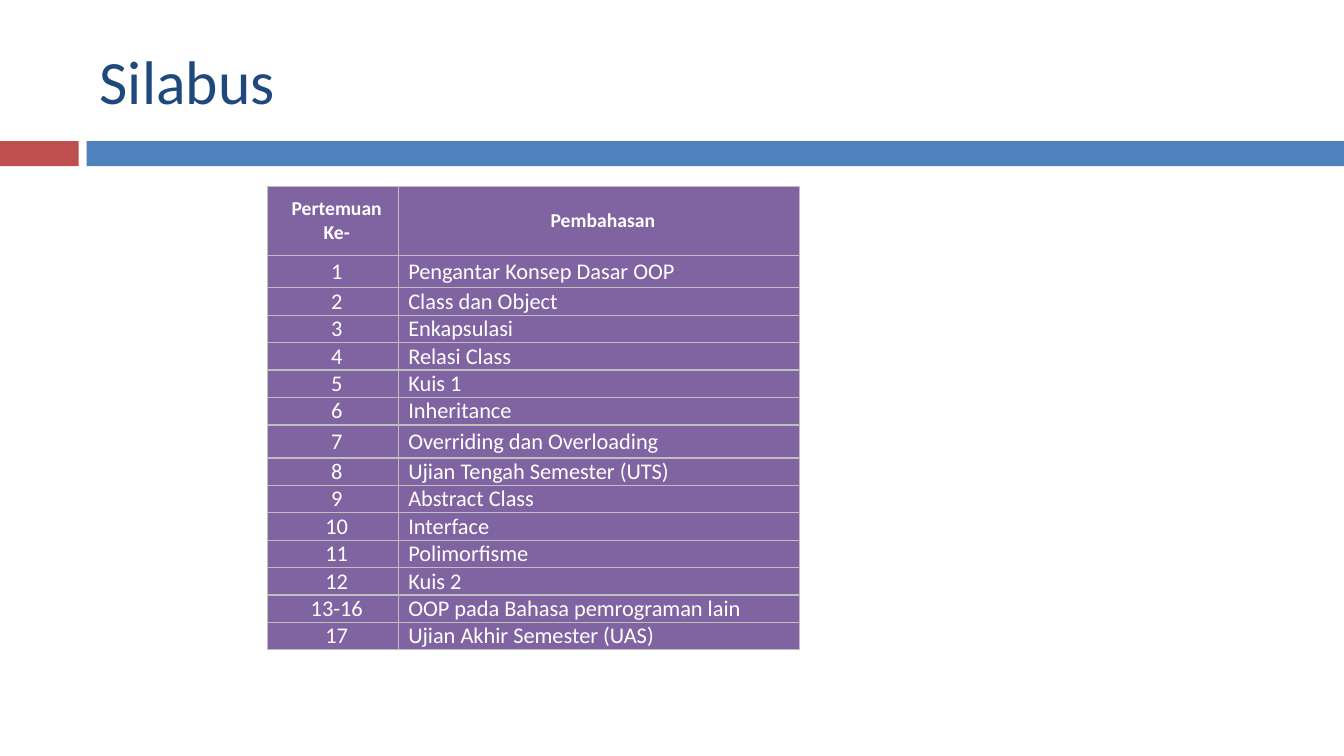
from pptx import Presentation
from pptx.dml.color import RGBColor
from pptx.enum.shapes import MSO_SHAPE
from pptx.enum.text import MSO_ANCHOR, PP_ALIGN
from pptx.oxml import parse_xml
from pptx.oxml.ns import nsdecls
from pptx.util import Inches, Pt

RED = RGBColor(0xC0, 0x50, 0x4D)
BLUE = RGBColor(0x4F, 0x81, 0xBD)
NAVY = RGBColor(0x1F, 0x49, 0x7D)
PURPLE = RGBColor(0x80, 0x64, 0xA2)
GRAY = RGBColor(0xBF, 0xBF, 0xBF)
WHITE = RGBColor(0xFF, 0xFF, 0xFF)

HEADER = ("Pertemuan Ke-", "Pembahasan")
SYLLABUS = [
    ("1", "Pengantar Konsep Dasar OOP"),
    ("2", "Class dan Object"),
    ("3", "Enkapsulasi"),
    ("4", "Relasi Class"),
    ("5", "Kuis 1"),
    ("6", "Inheritance"),
    ("7", "Overriding dan Overloading"),
    ("8", "Ujian Tengah Semester (UTS)"),
    ("9", "Abstract Class"),
    ("10", "Interface"),
    ("11", "Polimorfisme"),
    ("12", "Kuis 2"),
    ("13-16", "OOP pada Bahasa pemrograman lain"),
    ("17", "Ujian Akhir Semester (UAS)"),
]
COLUMN_WIDTHS = (9.75, 29.86)
ROW_HEIGHT = 3.63
TALL_ROWS = {0: 9.1, 1: 4.3, 7: 4.37}


class Deck:
    """Holds the style and current slide; lengths are percent of slide size."""

    font = "Calibri"

    def __init__(self, prs):
        self.prs = prs
        self.s = prs.slides.add_slide(prs.slide_layouts[6])

    def x(self, share):
        return round(self.prs.slide_width * share / 100)

    def y(self, share):
        return round(self.prs.slide_height * share / 100)

    def box(self, left, top, width, height):
        return self.x(left), self.y(top), self.x(width), self.y(height)

    def text(self, tf, text, size, color, align=PP_ALIGN.LEFT, bold=False):
        p = tf.paragraphs[0]
        p.alignment = align
        r = p.add_run()
        r.text = text
        r.font.color.rgb = color
        for name, value in {"name": self.font, "size": Pt(size), "bold": bold}.items():
            setattr(r.font, name, value)

    def bar(self, area, color):
        sp = self.s.shapes.add_shape(MSO_SHAPE.RECTANGLE, *self.box(*area))
        sp.shadow.inherit = False
        sp.fill.solid()
        sp.fill.fore_color.rgb = color
        sp.line.fill.background()

    def title(self, area, text):
        tf = self.s.shapes.add_textbox(*self.box(*area)).text_frame
        tf.word_wrap = True
        tf.vertical_anchor = MSO_ANCHOR.MIDDLE
        self.text(tf, text, 44, NAVY)

    def borders(self, cell):
        tcPr = cell._tc.get_or_add_tcPr()
        for i, side in enumerate(("lnL", "lnR", "lnT", "lnB")):
            tcPr.insert(i, parse_xml(
                f'<a:{side} {nsdecls("a")} w="{Pt(1)}"><a:solidFill>'
                f'<a:srgbClr val="{GRAY}"/></a:solidFill></a:{side}>'))

    def cell(self, cell, text, size, align, bold):
        margins = {"margin_left": Inches(0.1), "margin_right": Inches(0.02),
                   "margin_top": 0, "margin_bottom": 0}
        for name, value in {**margins, "vertical_anchor": MSO_ANCHOR.MIDDLE}.items():
            setattr(cell, name, value)
        cell.fill.solid()
        cell.fill.fore_color.rgb = PURPLE
        self.borders(cell)
        self.text(cell.text_frame, text, size, WHITE, align, bold)

    def table(self, left, top, widths, heights, rows):
        area = self.box(left, top, sum(widths), sum(heights))
        table = self.s.shapes.add_table(len(rows), len(widths), *area).table
        for column, width in zip(table.columns, widths):
            column.width = self.x(width)
        for i, (row, height) in enumerate(zip(rows, heights)):
            table.rows[i].height = self.y(height)
            header = i == 0
            for j, text in enumerate(row):
                align = PP_ALIGN.CENTER if header or j == 0 else PP_ALIGN.LEFT
                self.cell(table.cell(i, j), text, 14 if header else 16, align, header)


def main():
    prs = Presentation()
    prs.slide_width, prs.slide_height = Inches(13.33), Inches(7.5)
    deck = Deck(prs)

    # Title and the band under it
    deck.bar((0, 18.67, 5.85, 3.33), RED)
    deck.bar((6.45, 18.67, 93.55, 3.33), BLUE)
    deck.title((6.68, 3.33, 89.2, 14.4), "Silabus")

    # Syllabus table
    rows = [HEADER, *SYLLABUS]
    heights = [TALL_ROWS.get(i, ROW_HEIGHT) for i in range(len(rows))]
    deck.table(19.88, 24.67, COLUMN_WIDTHS, heights, rows)

    prs.save("out.pptx")


if __name__ == "__main__":
    main()
